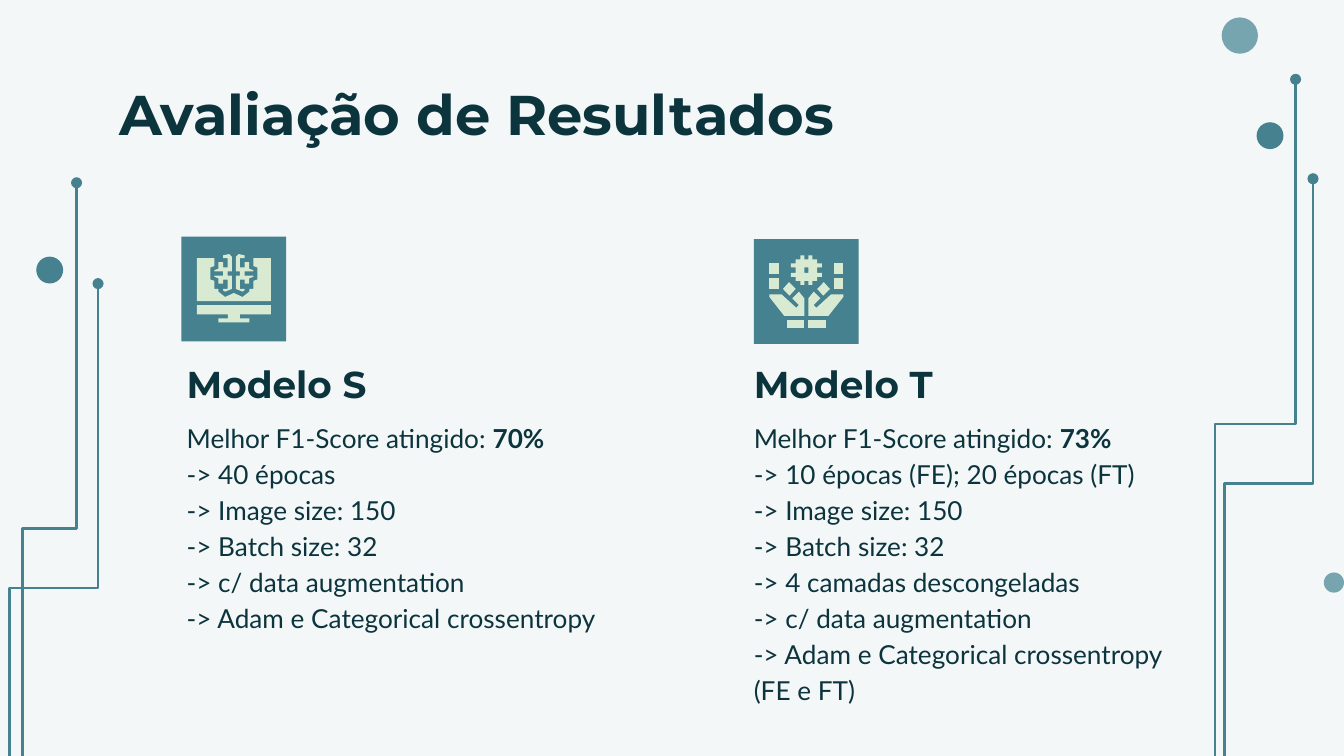
import lxml.etree
import pptx
import pptx.dml.color
import pptx.enum.shapes
import pptx.enum.text
import pptx.oxml.ns
import pptx.util

Inches = pptx.util.Inches
RGBColor = pptx.dml.color.RGBColor
Shape = pptx.enum.shapes.MSO_SHAPE
Anchor = pptx.enum.text.MSO_ANCHOR
qn = pptx.oxml.ns.qn

PALE = RGBColor(0xF3, 0xF7, 0xF8)
TEAL = RGBColor(0x45, 0x81, 0x8E)
LIGHT_TEAL = RGBColor(0x76, 0xA5, 0xAF)
NAVY = RGBColor(0x0C, 0x34, 0x3D)
MINT = RGBColor(0xD9, 0xEA, 0xD3)

TILE = 0.78

BRAIN_HALF = [
    (3.5, 13), (1.5, 15), (1.5, 26), (4.5, 26), (4.5, 29), (1.5, 29),
    (1.5, 39), (6.5, 41), (8, 40), (8, 39), (4.5, 39), (4.5, 32),
    (8, 32), (8, 35), (11.5, 35), (11.5, 31), (14.5, 30), (14.5, 29),
    (8, 29), (8, 26), (14.5, 26), (14.5, 25), (11.5, 24), (11.5, 19),
    (8, 19), (8, 23), (4.5, 23), (4.5, 16), (8, 16), (8, 14)]
SCREEN_HALF = [
    (0, 42), (6.5, 45), (11.5, 41), (11.5, 39), (14.5, 39), (14.5, 33),
    (17.5, 32), (17.5, 23), (14.5, 22), (14.5, 16), (27.5, 16), (27.5, 48)]
STAND_HALF = [
    (27.5, 51), (27.5, 58), (4.5, 58), (4.5, 61), (11.5, 61), (11.5, 64)]
GEAR_HALF = [
    (1.5, 15), (1.5, 12), (4.5, 12), (4.5, 15), (8, 15), (8, 18),
    (11.5, 18), (11.5, 21), (8, 21), (8, 25), (11.5, 25), (11.5, 28),
    (8, 28), (8, 31), (4.5, 31), (4.5, 34), (1.5, 34), (1.5, 31)]
GEAR_HOLE_HALF = [(1.5, 21), (1.5, 25)]
HAND = [
    (5.5, 39), (1.5, 44), (1.5, 57), (16.5, 57), (27.5, 43), (27.5, 41),
    (18.5, 41), (7.5, 51), (5.5, 49), (10.5, 44)]
FINGER = [(13, 32), (8, 37), (12.5, 42), (17.5, 37)]


def paint(shape, color):
    """Give a shape a plain fill without line or shadow."""
    shape.shadow.inherit = False
    shape.fill.solid()
    shape.fill.fore_color.rgb = color
    shape.line.fill.background()


def add_text(slide, box, paragraphs, font="Lato", size=14, bold=False,
             spacing=1.15, anchor=Anchor.TOP):
    """Write paragraphs in a box; asterisks enclose bold words."""
    frame = slide.shapes.add_textbox(*map(Inches, box)).text_frame
    frame.word_wrap = True
    frame.vertical_anchor = anchor
    frame.margin_left = frame.margin_right = Inches(0.1)
    frame.margin_top = frame.margin_bottom = Inches(0.1)
    for index, text in enumerate(paragraphs):
        paragraph = frame.paragraphs[0] if index == 0 else frame.add_paragraph()
        paragraph.line_spacing = spacing
        for position, words in enumerate(text.split("*")):
            if words:
                run = paragraph.add_run()
                run.text = words
                run.font.name = font
                run.font.size = pptx.util.Pt(size)
                run.font.bold = bold or position % 2 == 1
                run.font.color.rgb = NAVY


def add_trace(slide, left, top, width, height):
    """Draw a bent circuit trace rising from bottom left to a dot at top right."""
    middle_x, middle_y = left + width / 2, top + height / 2
    trace = slide.shapes.add_connector(
        pptx.enum.shapes.MSO_CONNECTOR.ELBOW,
        Inches(middle_x - height / 2), Inches(middle_y - width / 2),
        Inches(middle_x + height / 2), Inches(middle_y + width / 2))
    trace.line.color.rgb = TEAL
    trace.line.width = pptx.util.Pt(1.5)
    properties = trace._element.spPr
    properties.find(qn("a:xfrm")).set("rot", "16200000")
    outline = properties.find(qn("a:ln"))
    lxml.etree.SubElement(outline, qn("a:tailEnd"), type="oval")
    lxml.etree.SubElement(properties, qn("a:effectLst"))


def add_dot(slide, left, top, diameter, color):
    """Draw a decorative dot."""
    box = map(Inches, (left, top, diameter, diameter))
    paint(slide.shapes.add_shape(Shape.OVAL, *box), color)


def add_outline(slide, left, top, *contours):
    """Draw contours, in hundredths of an inch from a tile's axis and top."""
    axis = left + TILE / 2
    builder = None
    for contour in contours:
        points = [(Inches(axis + x / 100), Inches(top + y / 100))
                  for x, y in contour]
        if builder is None:
            builder = slide.shapes.build_freeform(*points[0])
        else:
            builder.move_to(*points[0])
        builder.add_line_segments(points[1:], close=True)
    paint(builder.convert_to_shape(), MINT)


def mirror(points):
    """Reflect points across the tile's axis."""
    return [(-x, y) for x, y in points]


def whole(half):
    """Complete a symmetric contour from its right half."""
    return half + mirror(half[::-1])


def block(left, top, right, bottom):
    """Return the corners of a rectangular contour."""
    return [(left, top), (left, bottom), (right, bottom), (right, top)]


def add_tile(slide, left, top):
    """Draw the square behind an icon."""
    box = map(Inches, (left, top, TILE, TILE))
    paint(slide.shapes.add_shape(Shape.RECTANGLE, *box), TEAL)


def add_brain_icon(slide, left, top):
    """Draw a brain on a computer screen."""
    add_tile(slide, left, top)
    for contour in (BRAIN_HALF, mirror(BRAIN_HALF),
                    whole(STAND_HALF), whole(SCREEN_HALF)):
        add_outline(slide, left, top, contour)


def add_hands_icon(slide, left, top):
    """Draw two hands holding a gear."""
    add_tile(slide, left, top)
    add_outline(slide, left, top, whole(GEAR_HALF), whole(GEAR_HOLE_HALF))
    for part in (HAND, FINGER, block(20.5, 18, 27.5, 26),
                 block(20.5, 29, 27.5, 37), block(1.5, 60, 14.5, 66)):
        add_outline(slide, left, top, part)
        add_outline(slide, left, top, mirror(part))


def add_model(slide, left, top, width, height, name, results):
    """Write a model's name with its results below."""
    add_text(slide, (left, top + 0.34, width, height), results)
    add_text(slide, (left, top, 3.82, 0.45), [name], font="Montserrat",
             size=20, bold=True, anchor=Anchor.BOTTOM)


def add_decoration(slide):
    """Draw the circuit traces and dots at both edges."""
    for trace in ((9.04, 0.59, 0.6, 5.13), (9.11, 1.33, 0.66, 4.53),
                  (0.17, 1.36, 0.4, 5.14), (0.07, 2.11, 0.66, 4.53)):
        add_trace(slide, *trace)
    for dot in ((9.09, 0.13, 0.27, LIGHT_TEAL), (9.35, 0.91, 0.2, TEAL),
                (9.85, 4.26, 0.15, LIGHT_TEAL), (0.27, 1.91, 0.2, TEAL)):
        add_dot(slide, *dot)


def main():
    """Build and save the results slide."""
    deck = pptx.Presentation()
    deck.slide_width = Inches(10)
    deck.slide_height = deck.slide_width * 9 // 16
    slide = deck.slides.add_slide(deck.slide_layouts[6])
    slide.background.fill.solid()
    slide.background.fill.fore_color.rgb = PALE
    add_decoration(slide)
    add_text(slide, (0.79, 0.49, 8.43, 0.63), ["Avaliação de Resultados"],
             font="Montserrat", size=30, bold=True, spacing=1)
    add_brain_icon(slide, 1.35, 1.76)
    add_model(slide, 1.29, 2.67, 3.55, 1.33, "Modelo S", [
        "Melhor F1-Score atingido: *70%*", "-> 40 épocas",
        "-> Image size: 150", "-> Batch size: 32",
        "-> c/ data augmentation", "-> Adam e Categorical crossentropy"])
    add_hands_icon(slide, 5.61, 1.78)
    add_model(slide, 5.51, 2.67, 3.41, 2.39, "Modelo T", [
        "Melhor F1-Score atingido: *73%*", "-> 10 épocas (FE); 20 épocas (FT)",
        "-> Image size: 150", "-> Batch size: 32",
        "-> 4 camadas descongeladas", "-> c/ data augmentation",
        "-> Adam e Categorical crossentropy (FE e FT)"])
    deck.save("out.pptx")


if __name__ == "__main__":
    main()
